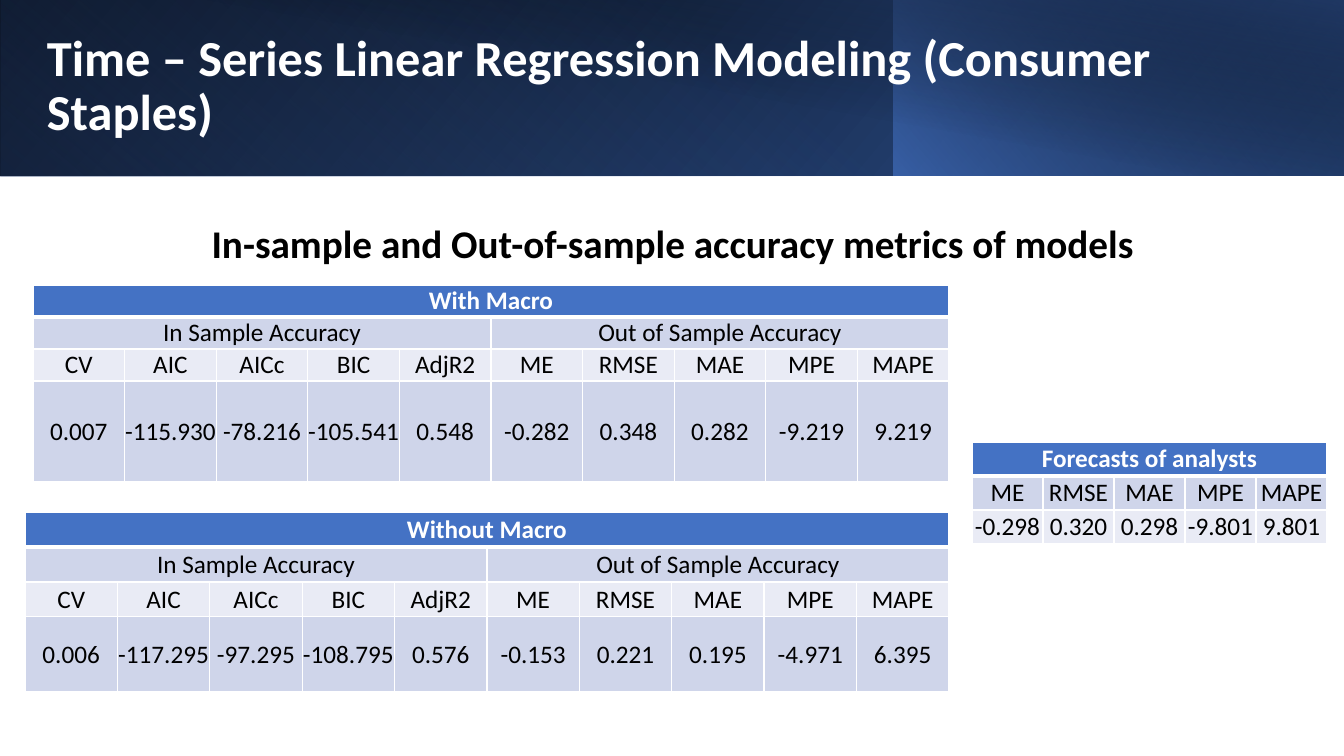
from lxml import etree
from pptx import Presentation
from pptx.dml.color import RGBColor
from pptx.enum.shapes import MSO_SHAPE as SHAPE
from pptx.enum.text import MSO_ANCHOR as ANCHOR, PP_ALIGN as ALIGN
from pptx.oxml import parse_xml
from pptx.oxml.ns import nsdecls, qn
from pptx.util import Emu, Pt

C = {"white": "FFFFFF", "black": "000000", "blue": "4472C4", "deep": "2F5597",
     "navy": "203864", "band1": "CFD5EA", "band2": "E9EBF5"}


def px(n):
    return Emu(round(n * 914400 / 100.8))


def write(tf, text, size, color, bold, align):
    tf.word_wrap = True
    tf.vertical_anchor = ANCHOR.MIDDLE
    p = tf.paragraphs[0]
    p.alignment = align
    r = p.add_run()
    r.text = text
    r.font.name, r.font.size, r.font.bold = "Calibri", Pt(size), bold
    r.font.color.rgb = RGBColor.from_string(C[color])
    return p


prs = Presentation()
prs.slide_width, prs.slide_height = px(1344), px(756)
s = prs.slides.add_slide(prs.slide_layouts[6])

# Header band: box, rotation, flip, angle, stops (position, colour, opacity)
layers = [
    ((0, 0, 1344, 176), 0, True, 140, [(0, "black", 100), (100, "deep", 100)]),
    ((0, 0, 895, 176), 180, True, 230, [(20, "blue", 0), (100, "navy", 55)]),
    ((894, 0, 450, 176), 0, True, 220, [(0, "blue", 66), (100, "black", 30)]),
    ((50, 0, 1294, 176), 0, False, 280, [(50, "black", 0), (99, "navy", 52)]),
]
for box, rotation, flip, angle, stops in layers:
    sp = s.shapes.add_shape(SHAPE.RECTANGLE, *map(px, box))
    sp.shadow.inherit = False
    sp.line.fill.background()
    sp.rotation = rotation
    if flip:
        sp._element.spPr.find(qn("a:xfrm")).set("flipH", "1")
    gs = "".join(
        f'<a:gs pos="{pos * 1000}"><a:srgbClr val="{C[color]}">'
        f'<a:alpha val="{opacity * 1000}"/></a:srgbClr></a:gs>'
        for pos, color, opacity in stops)
    sp._element.spPr.find(qn("a:prstGeom")).addnext(parse_xml(
        f'<a:gradFill {nsdecls("a")} rotWithShape="1"><a:gsLst>{gs}</a:gsLst>'
        f'<a:lin ang="{angle * 60000}" scaled="0"/></a:gradFill>'))

# Title and heading
title = s.shapes.add_textbox(*map(px, (37, 30, 1269, 114)))
p = write(title.text_frame, "Time – Series Linear Regression Modeling (Consumer Staples)",
          36, "white", True, ALIGN.LEFT)
p.line_spacing = 0.9
heading = s.shapes.add_textbox(*map(px, (130, 214, 1085, 57)))
write(heading.text_frame, "In-sample and Out-of-sample accuracy metrics of models",
      28, "black", True, ALIGN.CENTER)

# Tables: left, top, width, row heights, rows; short rows span the columns evenly
groups = ["In Sample Accuracy", "Out of Sample Accuracy"]
errors = ["ME", "RMSE", "MAE", "MPE", "MAPE"]
metrics = ["CV", "AIC", "AICc", "BIC", "AdjR2"] + errors
tables = [
    (33, 285, 916, [32, 32, 32, 101], [
        ["With Macro"], groups, metrics,
        ["0.007", "-115.930", "-78.216", "-105.541", "0.548",
         "-0.282", "0.348", "0.282", "-9.219", "9.219"]]),
    (25, 512, 924, [35, 35, 35, 75], [
        ["Without Macro"], groups, metrics,
        ["0.006", "-117.295", "-97.295", "-108.795", "0.576",
         "-0.153", "0.221", "0.195", "-4.971", "6.395"]]),
    (972, 442, 355, [34, 34, 34], [
        ["Forecasts of analysts"], errors,
        ["-0.298", "0.320", "0.298", "-9.801", "9.801"]]),
]
for left, top, width, heights, rows in tables:
    n = len(rows[-1])
    table = s.shapes.add_table(len(rows), n, px(left), px(top),
                               px(width), px(sum(heights))).table
    for row, height in zip(table.rows, heights):
        row.height = px(height)
    for i, texts in enumerate(rows):
        fill = "blue" if i == 0 else "band1" if i % 2 else "band2"
        for j in range(n):
            cell = table.cell(i, j)
            cell.margin_left = cell.margin_right = cell.margin_top = cell.margin_bottom = 0
            cell.fill.solid()
            cell.fill.fore_color.rgb = RGBColor.from_string(C[fill])
            thick = {0: "B", 1: "T"}.get(i)
            for k, side in enumerate("LRTB"):
                line = etree.Element(qn(f"a:ln{side}"), w=str(Pt(3 if side == thick else 1)))
                solid = etree.SubElement(line, qn("a:solidFill"))
                etree.SubElement(solid, qn("a:srgbClr"), val=C["white"])
                cell._tc.tcPr.insert(k, line)
        span = n // len(texts)
        for j, text in enumerate(texts):
            cell = table.cell(i, j * span)
            if span > 1:
                cell.merge(table.cell(i, (j + 1) * span - 1))
            cell.vertical_anchor = ANCHOR.MIDDLE
            write(cell.text_frame, text, 18, "black" if i else "white", i == 0, ALIGN.CENTER)
            cell.vertical_anchor = ANCHOR.MIDDLE

prs.save("out.pptx")
